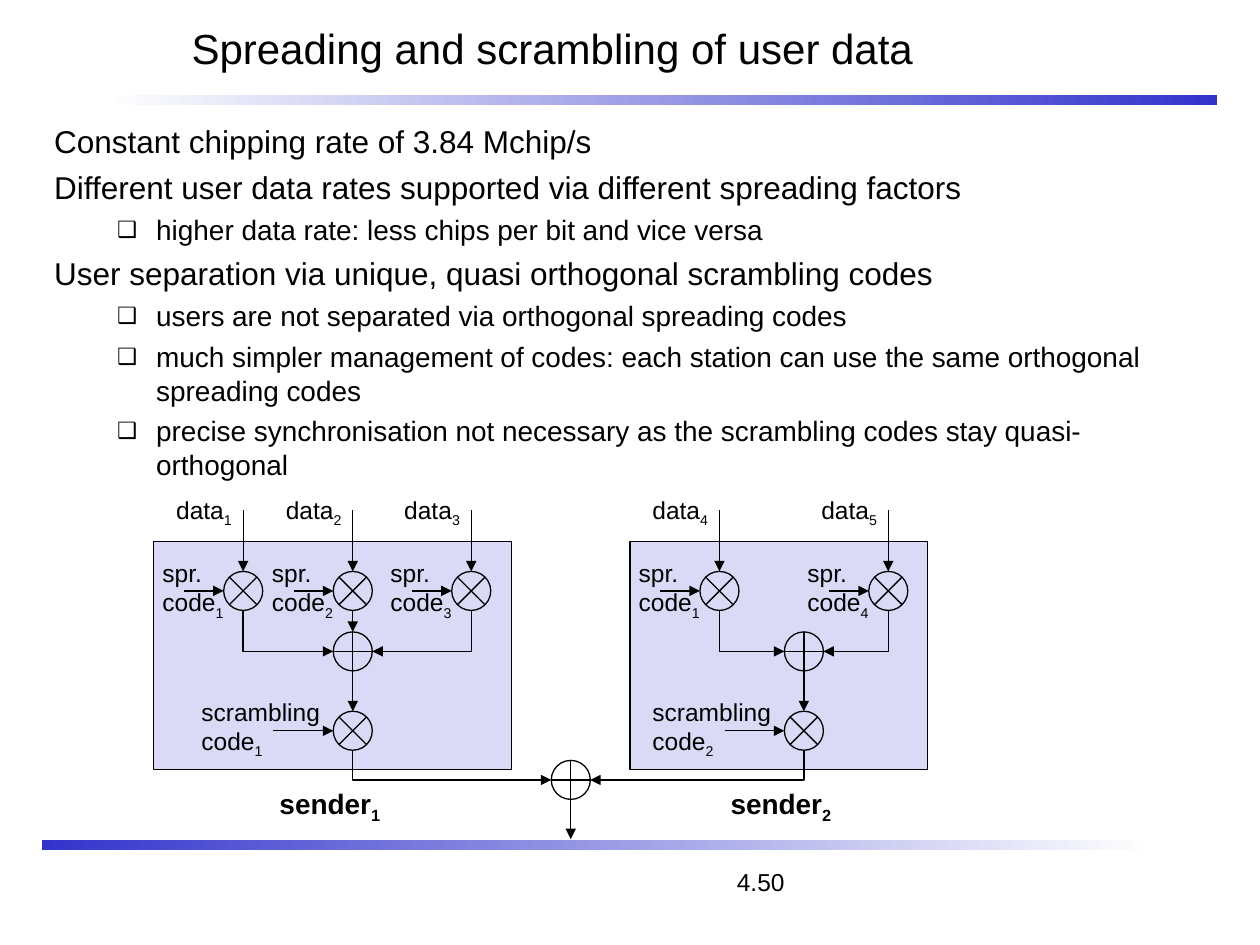
from lxml import etree
from pptx import Presentation
from pptx import util as u
from pptx.dml import color
from pptx.enum import shapes, text
from pptx.oxml import ns

Inches, Pt = u.Inches, u.Pt
FONT = "Arial"
COLORS = {"ink": "000000", "sender": "DADAF6", "bar": "3333CC", "paper": "FFFFFF"}
SYMBOL = 0.31
RADIUS = SYMBOL / 2
MULTIPLY = shapes.MSO_SHAPE.FLOWCHART_SUMMING_JUNCTION
ADD = shapes.MSO_SHAPE.FLOWCHART_OR

POINTS = [
    (0, "Constant chipping rate of 3.84 Mchip/s"),
    (0, "Different user data rates supported via different spreading factors"),
    (1, "higher data rate: less chips per bit and vice versa"),
    (0, "User separation via unique, quasi orthogonal scrambling codes"),
    (1, "users are not separated via orthogonal spreading codes"),
    (1, "much simpler management of codes: each station can use the same "
        "orthogonal spreading codes"),
    (1, "precise synchronisation not necessary as the scrambling codes stay "
        "quasi-orthogonal"),
]


def rgb(name):
    return color.RGBColor.from_string(COLORS[name])


def style(paragraph, size, bold=False):
    font = paragraph.font
    font.name, font.size, font.bold = FONT, Pt(size), bold
    font.color.rgb = rgb("ink")


def place(part, left, top, width, height):
    part.left, part.top = Inches(left), Inches(top)
    part.width, part.height = Inches(width), Inches(height)


def outlined(slide, kind, left, top, width, height, fill=None):
    part = slide.shapes.add_shape(
        kind, Inches(left), Inches(top), Inches(width), Inches(height))
    part.shadow.inherit = False
    if fill:
        part.fill.solid()
        part.fill.fore_color.rgb = rgb(fill)
    else:
        part.fill.background()
    part.line.color.rgb = rgb("ink")
    part.line.width = Pt(0.75)


def symbol(slide, kind, x, y, fill=None):
    outlined(slide, kind, x - RADIUS, y - RADIUS, SYMBOL, SYMBOL, fill)


def arrow(slide, x1, y1, x2, y2, kind=shapes.MSO_CONNECTOR.STRAIGHT):
    link = slide.shapes.add_connector(
        kind, Inches(x1), Inches(y1), Inches(x2), Inches(y2))
    link.line.color.rgb = rgb("ink")
    link.line.width = Pt(0.75)
    etree.SubElement(link.get_or_add_ln(), ns.qn("a:tailEnd"), type="triangle")
    etree.SubElement(link.element.spPr, ns.qn("a:effectLst"))
    return link


def down_then_across(slide, x1, y1, x2, y2):
    mid_x, mid_y = (x1 + x2) / 2, (y1 + y2) / 2
    half_drop, half_run = (y2 - y1) / 2, abs(x2 - x1) / 2
    link = arrow(slide, mid_x - half_drop, mid_y - half_run,
                 mid_x + half_drop, mid_y + half_run, shapes.MSO_CONNECTOR.ELBOW)
    properties = link.element.spPr
    properties.find(ns.qn("a:prstGeom")).set("prst", "bentConnector2")
    frame = properties.find(ns.qn("a:xfrm"))
    frame.set("rot", str((270 if x2 > x1 else 90) * 60000))
    if x2 > x1:
        frame.set("flipH", "1")


def label(slide, left, top, width, height, lines, index, size=14, bold=False):
    box = slide.shapes.add_textbox(
        Inches(left), Inches(top), Inches(width), Inches(height))
    frame = box.text_frame
    frame.word_wrap = False
    frame.auto_size = text.MSO_AUTO_SIZE.SHAPE_TO_FIT_TEXT
    frame.text = "\n".join(lines)
    for paragraph in frame.paragraphs:
        style(paragraph, size, bold)
    subscript = frame.paragraphs[-1].add_run()
    subscript.text = str(index)
    subscript.font._element.set("baseline", "-25000")


def gradient_bar(slide, left, top, width, height, start, end):
    bar = slide.shapes.add_shape(
        shapes.MSO_SHAPE.RECTANGLE,
        Inches(left), Inches(top), Inches(width), Inches(height))
    bar.shadow.inherit = False
    bar.line.fill.background()
    bar.fill.gradient()
    bar.fill.gradient_angle = 0
    for stop, name in zip(bar.fill.gradient_stops, (start, end)):
        stop.color.rgb = rgb(name)


def heading(slide, left, top, width, height):
    title = slide.shapes.title
    place(title, left, top, width, height)
    frame = title.text_frame
    frame.text = "Spreading and scrambling of user data"
    frame.vertical_anchor = text.MSO_ANCHOR.MIDDLE
    frame.paragraphs[0].alignment = text.PP_ALIGN.LEFT
    style(frame.paragraphs[0], 24)


def set_bullet(paragraph, level):
    properties = paragraph._p.get_or_add_pPr()
    indent, hanging = ((0, 0), (0.81, 0.31))[level]
    properties.set("marL", str(Inches(indent)))
    properties.set("indent", str(-Inches(hanging)))
    if level == 0:
        etree.SubElement(properties, ns.qn("a:buNone"))
        return
    tint = etree.SubElement(properties, ns.qn("a:buClr"))
    etree.SubElement(tint, ns.qn("a:srgbClr"), val=COLORS["ink"])
    etree.SubElement(properties, ns.qn("a:buSzPct"), val="80000")
    etree.SubElement(properties, ns.qn("a:buChar"), char="❑")


def point_list(slide, left, top, width, height):
    body = slide.placeholders[1]
    place(body, left, top, width, height)
    frame = body.text_frame
    frame.auto_size = text.MSO_AUTO_SIZE.NONE
    frame.text = "\n".join(words for _, words in POINTS)
    for position, (paragraph, (level, _)) in enumerate(zip(frame.paragraphs, POINTS)):
        paragraph.level = level
        set_bullet(paragraph, level)
        paragraph.space_before = Pt((4.5, 4)[level] if position else 0)
        style(paragraph, (18, 16)[level])


def sender(slide, left, top, width, height, index, channels, adder_offset, output):
    outlined(slide, shapes.MSO_SHAPE.RECTANGLE, left, top, width, height, "sender")
    adder_x = left + adder_offset
    spread_y, adder_y, scramble_y = top + 0.39, top + 0.87, top + 1.5
    for offset, data, code in channels:
        x = left + offset
        symbol(slide, MULTIPLY, x, spread_y, "sender")
        arrow(slide, x, top - 0.25, x, spread_y - RADIUS)
        arrow(slide, x - 0.47, spread_y, x - RADIUS, spread_y)
        label(slide, x - 0.63, top - 0.42, 0.64, 0.37, ["data"], data)
        label(slide, x - 0.74, top + 0.08, 0.72, 0.6, ["spr.", "code"], code)
        if offset == adder_offset:
            arrow(slide, x, spread_y + RADIUS, x, adder_y - RADIUS)
        else:
            side = RADIUS if offset > adder_offset else -RADIUS
            down_then_across(slide, x, spread_y + RADIUS, adder_x + side, adder_y)
    symbol(slide, ADD, adder_x, adder_y)
    symbol(slide, MULTIPLY, adder_x, scramble_y)
    arrow(slide, adder_x, adder_y + RADIUS, adder_x, scramble_y - RADIUS)
    arrow(slide, adder_x - 0.63, scramble_y, adder_x - RADIUS, scramble_y)
    label(slide, adder_x - 1.3, top + 1.18, 1.14, 0.6, ["scrambling", "code"], index)
    down_then_across(slide, adder_x, scramble_y + RADIUS, *output)
    label(slide, adder_x - 0.68, top + 1.89, 1, 0.41, ["sender"], index, 16, True)


def page_number(slide, left, top, width, height):
    box = slide.shapes.add_textbox(
        Inches(left), Inches(top), Inches(width), Inches(height))
    box.text_frame.word_wrap = True
    box.text_frame.text = "4.50"
    style(box.text_frame.paragraphs[0], 14)


def main():
    deck = Presentation()
    deck.slide_width, deck.slide_height = Inches(10), Inches(7.5)
    slide = deck.slides.add_slide(deck.slide_layouts[1])
    gradient_bar(slide, 0.83, 0.75, 8.83, 0.08, "paper", "bar")
    gradient_bar(slide, 0.33, 6.67, 8.83, 0.08, "bar", "paper")
    page_number(slide, 5.75, 6.83, 3.33, 0.33)
    heading(slide, 1.42, 0, 8.42, 0.75)
    point_list(slide, 0.33, 0.92, 9.33, 5.67)
    sum_x, sum_y = 4.53, 6.19
    sender(slide, 1.22, 4.3, 2.84, 1.81, 1,
           [(0.71, 1, 1), (1.58, 2, 2), (2.52, 3, 3)], 1.58, (sum_x - RADIUS, sum_y))
    sender(slide, 5, 4.3, 2.36, 1.81, 2,
           [(0.71, 4, 1), (2.05, 5, 4)], 1.38, (sum_x + RADIUS, sum_y))
    symbol(slide, ADD, sum_x, sum_y)
    arrow(slide, sum_x, sum_y + RADIUS, sum_x, 6.66)
    deck.save("out.pptx")


if __name__ == "__main__":
    main()
